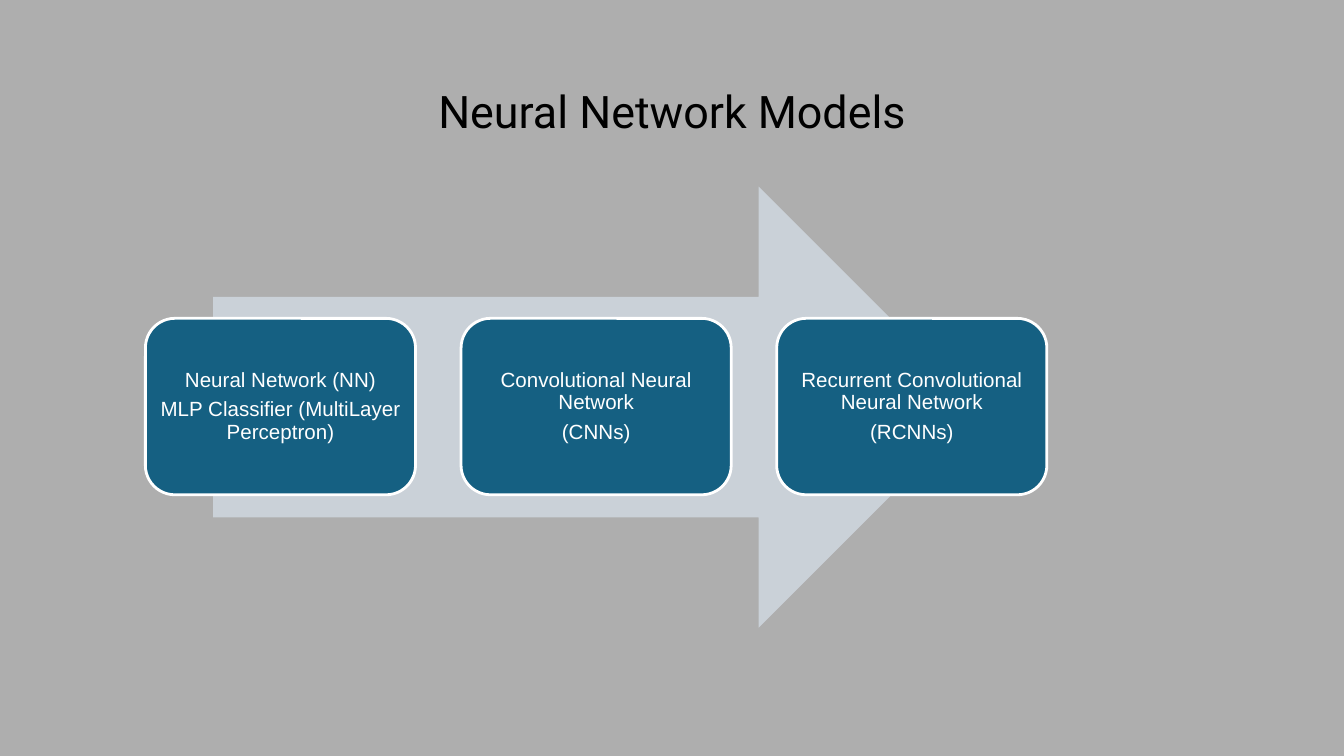
from pptx import Presentation
from pptx.dml.color import RGBColor
from pptx.enum.shapes import MSO_SHAPE as Shape
from pptx.enum.text import MSO_ANCHOR as Anchor, PP_ALIGN as Align
from pptx.util import Pt


def color(hex_value):
    return RGBColor.from_string(hex_value)


class ModelSlide:
    """Hold the style and the current slide, and add its elements."""

    background = "AEAEAE"
    arrow_fill = "CAD1D8"
    card_fill = "156082"
    light = "FFFFFF"
    dark = "000000"
    inset = Pt(3)

    def __init__(self, deck):
        self.slide = deck.slides.add_slide(deck.slide_layouts[6])
        fill = self.slide.background.fill
        fill.solid()
        fill.fore_color.rgb = color(self.background)

    def shape(self, kind, box, fill, adjustments, outline=None):
        shape = self.slide.shapes.add_shape(kind, *map(Pt, box))
        shape.shadow.inherit = False
        shape.fill.solid()
        shape.fill.fore_color.rgb = color(fill)
        for index, value in enumerate(adjustments):
            shape.adjustments[index] = value
        if outline:
            shape.line.color.rgb = color(outline)
            shape.line.width = Pt(1.5)
        else:
            shape.line.fill.background()

    def text(self, box, lines, font, size, ink):
        frame = self.slide.shapes.add_textbox(*map(Pt, box)).text_frame
        frame_format = {
            "word_wrap": True,
            "vertical_anchor": Anchor.MIDDLE,
            "margin_left": self.inset,
            "margin_right": self.inset,
            "margin_top": self.inset,
            "margin_bottom": self.inset,
        }
        for name, value in frame_format.items():
            setattr(frame, name, value)
        for index, line in enumerate(lines):
            paragraph = frame.add_paragraph() if index else frame.paragraphs[0]
            paragraph_format = {
                "alignment": Align.CENTER,
                "line_spacing": 0.9,
                "space_before": Pt(4 if index else 0),
            }
            for name, value in paragraph_format.items():
                setattr(paragraph, name, value)
            run = paragraph.add_run()
            run.text = line
            for name, value in {"name": font, "size": Pt(size)}.items():
                setattr(run.font, name, value)
            run.font.color.rgb = color(ink)

    def title(self, wording):
        self.text((49.7, 21.6, 620.6, 78.5), [wording], "Roboto", 24, self.dark)

    def arrow(self):
        box = (114.2, 100, 410.4, 236.2)
        self.shape(Shape.RIGHT_ARROW, box, self.arrow_fill, (0.5, 0.5))

    def card(self, left, lines):
        box = (left, 170.6, 144.7, 94.5)
        self.shape(Shape.ROUNDED_RECTANGLE, box, self.card_fill, (0.167,), self.light)
        self.text((left + 4.7, 194.7, 135.4, 46.1), lines, "Arial", 11, self.light)


def main():
    deck = Presentation()
    deck.slide_width, deck.slide_height = Pt(720), Pt(405)
    models = [
        ("Neural Network (NN)", "MLP Classiﬁer (MultiLayer Perceptron)"),
        ("Convolutional Neural Network", "(CNNs)"),
        ("Recurrent Convolutional Neural Network", "(RCNNs)"),
    ]
    first_left, step = 77.9, 169.1

    page = ModelSlide(deck)
    page.title("Neural Network Models")
    page.arrow()
    for position, lines in enumerate(models):
        page.card(first_left + position * step, lines)
    deck.save("out.pptx")


if __name__ == "__main__":
    main()
